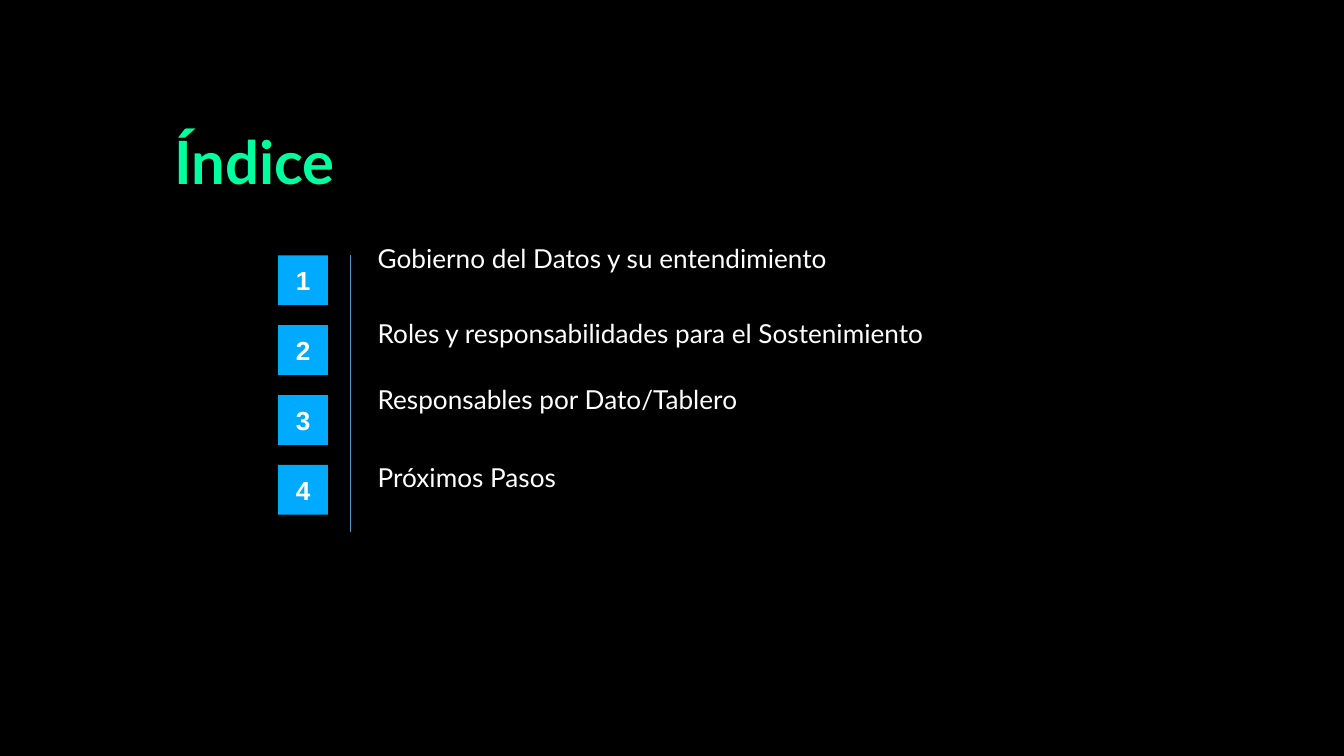
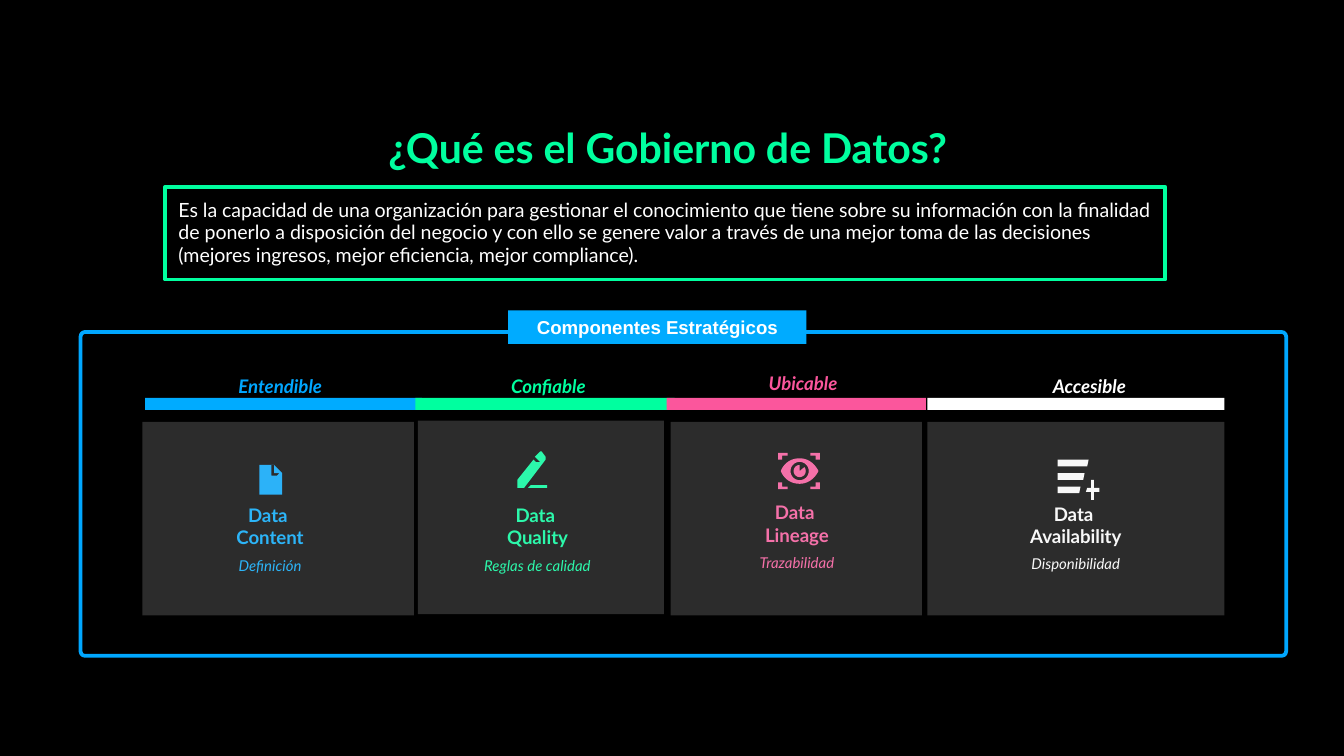
from copy import deepcopy
from math import cos, radians, sin
from typing import NamedTuple

from lxml import etree
from pptx import Presentation
from pptx.dml.color import RGBColor
from pptx.enum.shapes import MSO_CONNECTOR, MSO_SHAPE
from pptx.enum.text import MSO_ANCHOR, PP_ALIGN
from pptx.oxml.ns import qn
from pptx.util import Inches, Pt

RECT, ROUND_RECT = MSO_SHAPE.RECTANGLE, MSO_SHAPE.ROUNDED_RECTANGLE
STRAIGHT = MSO_CONNECTOR.STRAIGHT
LEFT, CENTER = PP_ALIGN.LEFT, PP_ALIGN.CENTER
TOP, MIDDLE = MSO_ANCHOR.TOP, MSO_ANCHOR.MIDDLE

BLACK = RGBColor(0x00, 0x00, 0x00)
WHITE = RGBColor(0xFF, 0xFF, 0xFF)
GREEN = RGBColor(0x00, 0xFF, 0x9F)
BLUE = RGBColor(0x00, 0xAB, 0xFF)
FRAME_BLUE = RGBColor(0x00, 0xA7, 0xFF)
RULE_BLUE = RGBColor(0x56, 0x98, 0xD3)
PINK = RGBColor(0xFB, 0x56, 0x9C)
CARD_GRAY = RGBColor(0xDE, 0xDE, 0xDE)

SLIM = (0.07, 0.04)
EVEN = (0.07, 0.07)


class Component(NamedTuple):
    """One strategic component; pairs are (left, width) or (left, top)."""
    quality: str
    name: str
    detail: str
    color: RGBColor
    accent: RGBColor
    quality_box: tuple
    quality_top: float
    bar: tuple
    card: tuple
    card_top: float
    text_box: tuple
    text_top: float
    icon: list
    icon_at: tuple


def bezier(p0, p1, p2, p3, steps=10):
    """Return points along a cubic curve, without its end point."""
    points = []
    for i in range(steps):
        t = i / steps
        weights = ((1 - t) ** 3, 3 * t * (1 - t) ** 2, 3 * t * t * (1 - t), t ** 3)
        points.append(tuple(sum(w * p[axis] for w, p in zip(weights, (p0, p1, p2, p3)))
                            for axis in (0, 1)))
    return points


def arc(cx, cy, radius, start, end):
    """Return points on an arc, every ten degrees."""
    return [(cx + radius * cos(radians(a)), cy + radius * sin(radians(a)))
            for a in range(start, end + 1, 10)]


def eye_icon():
    """Return the outlines of an eye inside four scan corners."""
    width, height = 31, 27
    corner = [(0, 0), (7, 0), (7, 2), (3, 2), (3, 5), (0, 5)]
    parts = [[[(width - x if right else x, height - y if low else y) for x, y in corner]]
             for right in (False, True) for low in (False, True)]
    almond = (bezier((30, 13.5), (30, 13.5), (26, 4), (16, 4))
              + bezier((16, 4), (5, 4), (2, 13.5), (2, 13.5))
              + bezier((2, 13.5), (2, 13.5), (5, 23), (16, 23))
              + bezier((16, 23), (26, 23), (30, 13.5), (30, 13.5)))
    iris = [(16, 13.5)] + arc(16, 13.5, 4.5, -40, 270)
    return parts + [[iris], [almond, arc(16, 13.5, 6.8, 0, 350)]]


def list_icon():
    """Return the outlines of a plus sign and three list lines."""
    plus = [(27, 21), (27, 15), (25, 15), (25, 21), (22, 21), (21, 24),
            (25, 24), (25, 30), (27, 30), (27, 24), (31, 24), (31, 21)]
    rows = [[[(0, y), (w, y), (w - 1, y + 5), (0, y + 5)]]
            for y, w in ((20, 17), (10, 20), (0, 23))]
    return [[plus]] + rows


PAGE_ICON = [[[(0, 0), (11, 0), (17, 6), (17, 22), (0, 22)],
              [(13, 8), (9, 8), (9, 0), (11, 0), (11, 6), (15, 6)]]]
PENCIL_ICON = [[[(21, 5), (18, 1), (17, 1), (13, 5), (17, 9), (14, 9), (12, 7),
                 (0, 22), (0, 28), (5, 28), (21, 7)],
                [(10, 26), (8, 28), (22, 28), (22, 26)]]]

TOPICS = [
    ("Gobierno del Datos y su entendimiento", 1.79, 4),
    ("Roles y responsabilidades para el Sostenimiento", 2.35, 4.53),
    ("Responsables por Dato/Tablero", 2.84, 4.2),
    ("Próximos Pasos", 3.42, 2.88),
]

DEFINITION = (
    "Es la capacidad de una organización para gestionar el conocimiento que tiene "
    "sobre su información con la finalidad de ponerlo a disposición del negocio y con "
    "ello se genere valor a través de una mejor toma de las decisiones (mejores "
    "ingresos, mejor eficiencia, mejor compliance).")

COMPONENTS = [
    Component("Entendible", "Data \vContent", "Definición", BLUE, FRAME_BLUE,
              (1.18, 1.81), 2.67, (1.08, 2.06), (1.06, 2.02), 3.14,
              (1.18, 1.66), 3.73, PAGE_ICON, (1.93, 3.46)),
    Component("Confiable", "Data \vQuality", "Reglas de calidad", GREEN, GREEN,
              (3.21, 1.74), 2.67, (3.09, 1.93), (3.11, 1.83), 3.13,
              (3.17, 1.66), 3.73, PENCIL_ICON, (3.85, 3.35)),
    Component("Ubicable", "Data \vLineage", "Trazabilidad", PINK, PINK,
              (5.07, 1.81), 2.65, (4.96, 1.93), (4.99, 1.87), 3.14,
              (5.1, 1.66), 3.71, eye_icon(), (5.79, 3.37)),
    Component("Accesible", "Data \vAvailability", "Disponibilidad", WHITE, WHITE,
              (7.2, 1.81), 2.67, (6.9, 2.21), (6.9, 2.21), 3.14,
              (7.25, 1.51), 3.72, list_icon(), (7.87, 3.42)),
]


def set_frame(sp, anchor=TOP, inset=(0.1, 0.05)):
    """Set wrapping, anchor and insets, and return the text frame."""
    tf = sp.text_frame
    tf.word_wrap = True
    tf.vertical_anchor = anchor
    tf.margin_left = tf.margin_right = Inches(inset[0])
    tf.margin_top = tf.margin_bottom = Inches(inset[1])
    return tf


def write(p, text, size, color, font="Lato", bold=False, italic=False,
          align=LEFT, spacing=None):
    """Fill a paragraph and format its runs and line breaks."""
    p.text = text
    p.alignment = align
    if spacing:
        p.line_spacing = spacing
    for r in p.runs:
        r.font.size = Pt(size)
        r.font.name = font
        r.font.bold = bold
        r.font.italic = italic
        r.font.color.rgb = color
    for br in p._p.findall(qn("a:br")):
        br.append(deepcopy(p.runs[0]._r.rPr))


def add_text(s, box, text, size, color, inset=(0.1, 0.05), **style):
    """Add a text box with one paragraph."""
    sp = s.shapes.add_textbox(*map(Inches, box))
    write(set_frame(sp, inset=inset).paragraphs[0], text, size, color, **style)


def paint(sp, fill=None, line=None):
    """Set the fill and the outline, and remove the shadow."""
    sp.shadow.inherit = False
    if fill is None:
        sp.fill.background()
    else:
        sp.fill.solid()
        sp.fill.fore_color.rgb = fill
    if line is None:
        sp.line.fill.background()
    else:
        sp.line.color.rgb = line
        sp.line.width = Pt(2)


def add_box(s, box, fill=None, line=None, kind=RECT):
    """Add a painted preset shape."""
    sp = s.shapes.add_shape(kind, *map(Inches, box))
    paint(sp, fill, line)
    return sp


def add_icon(s, at, parts, color):
    """Draw outlines given in hundredths of an inch from the corner."""
    for contours in parts:
        builder = None
        for contour in contours:
            points = [(Inches(x / 100), Inches(y / 100)) for x, y in contour]
            if builder is None:
                builder = s.shapes.build_freeform(*points[0])
            else:
                builder.move_to(*points[0])
            builder.add_line_segments(points[1:], close=True)
        paint(builder.convert_to_shape(*map(Inches, at)), color)


def add_slide(prs, title, box, size, inset):
    """Add a black slide with its green title."""
    s = prs.slides.add_slide(prs.slide_layouts[6])
    s.background.fill.solid()
    s.background.fill.fore_color.rgb = BLACK
    add_text(s, box, title, size, GREEN, inset, bold=True, spacing=0.9)
    return s


def add_index(s, x, y):
    """Draw numbered squares, the topics and the vertical rule."""
    for i in range(len(TOPICS)):
        sp = add_box(s, (x, y + 0.52 * i, 0.37, 0.37), BLUE)
        write(set_frame(sp, MIDDLE).paragraphs[0], str(i + 1), 14, WHITE,
              font="Arial", bold=True, align=CENTER)
    for topic, top, width in TOPICS:
        add_text(s, (x + 0.67, top, width, 0.43), topic, 14, WHITE, SLIM, spacing=0.9)
    rule = s.shapes.add_connector(STRAIGHT, Inches(x + 0.54), Inches(y),
                                  Inches(x + 0.54), Inches(y + 2.06))
    rule.line.color.rgb = RULE_BLUE
    rule.line.width = Pt(0.75)
    etree.SubElement(rule._element.spPr, qn("a:effectLst"))


def add_definition(s, box):
    """Draw the framed definition."""
    sp = add_box(s, box, line=GREEN)
    write(set_frame(sp, MIDDLE).paragraphs[0], DEFINITION, 10.5, WHITE, spacing=0.95)


def add_component(s, c):
    """Draw the heading, icon, text and translucent card of a component."""
    add_text(s, (c.quality_box[0], c.quality_top, c.quality_box[1], 0.3), c.quality,
             10, c.accent, EVEN, bold=True, italic=True, align=CENTER, spacing=1.3)
    add_icon(s, c.icon_at, c.icon, c.accent)
    sp = s.shapes.add_textbox(*map(Inches, (c.text_box[0], c.text_top, c.text_box[1], 0.56)))
    tf = set_frame(sp, MIDDLE, EVEN)
    write(tf.paragraphs[0], c.name, 10, c.color, bold=True, align=CENTER)
    p = tf.add_paragraph()
    p.space_before = Pt(4)
    write(p, c.detail, 8, c.color, italic=True, align=CENTER)
    card = add_box(s, (c.card[0], c.card_top, c.card[1], 1.44), CARD_GRAY)
    color = card._element.spPr.find(qn("a:solidFill"))[0]
    etree.SubElement(color, qn("a:alpha"), val="20000")


def add_components(s, x, y, width, height):
    """Draw the framed panel of strategic components with its tab."""
    frame = add_box(s, (x, y, width, height), line=FRAME_BLUE, kind=ROUND_RECT)
    frame.adjustments[0] = 0.014
    for c in COMPONENTS[-1:] + COMPONENTS[:-1]:
        add_box(s, (c.bar[0], y + 0.49, c.bar[1], 0.09), c.color)
    for c in COMPONENTS:
        add_component(s, c)
    tab = add_box(s, (x + 3.18, y - 0.16, 2.22, 0.25), BLUE)
    write(set_frame(tab, inset=SLIM).paragraphs[0], "Componentes Estratégicos", 10,
          WHITE, font="Arial", bold=True, align=CENTER)


def main():
    """Build and save the presentation."""
    prs = Presentation()
    prs.slide_width = Inches(10)
    prs.slide_height = prs.slide_width * 9 // 16
    s = add_slide(prs, "Índice", (1.2, 0.94, 5, 0.59), 32, (0.1, 0.05))
    add_index(s, 2.07, 1.9)
    s = add_slide(prs, "¿Qué es el Gobierno de Datos?", (2.82, 0.91, 6.48, 0.51), 22, SLIM)
    add_components(s, 0.6, 2.47, 8.97, 2.41)
    add_definition(s, (1.23, 1.39, 7.44, 0.69))
    prs.save("out.pptx")


if __name__ == "__main__":
    main()
